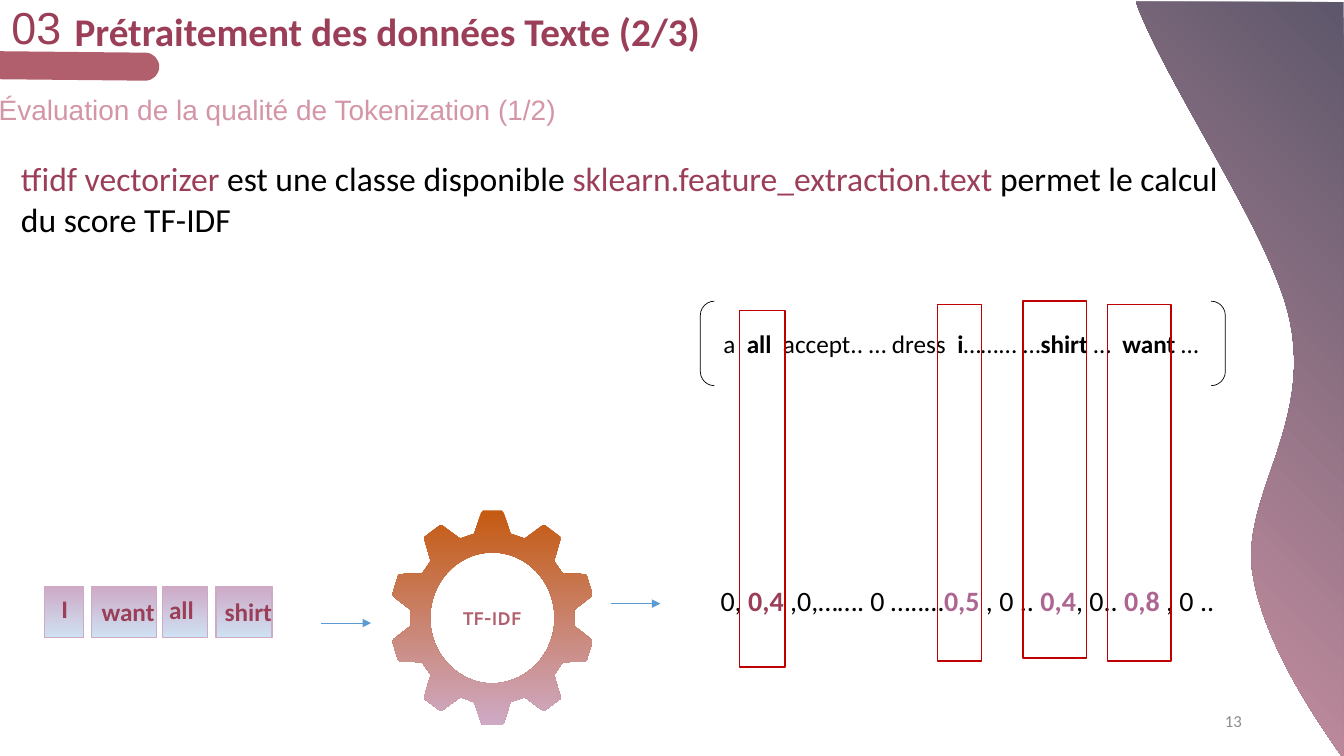
from math import cos, radians, sin

from lxml.etree import SubElement
from pptx import Presentation
from pptx.dml.color import RGBColor
from pptx.enum.shapes import MSO_CONNECTOR, MSO_SHAPE
from pptx.enum.text import MSO_ANCHOR, MSO_AUTO_SIZE, PP_ALIGN
from pptx.oxml.ns import qn
from pptx.util import Cm, Pt

WINE = RGBColor(0x9B, 0x3F, 0x59)
ROSE = RGBColor(0xB1, 0x5F, 0x6D)
PINK = RGBColor(0xD4, 0x96, 0xA7)
MAUVE = RGBColor(0xAD, 0x65, 0x92)
LILAC = RGBColor(0xCE, 0xAA, 0xC6)
SKY = RGBColor(0xCE, 0xE1, 0xF2)
SLATE = RGBColor(0x5D, 0x57, 0x6B)
ORANGE = RGBColor(0xC5, 0x5A, 0x11)
RED = RGBColor(0xC0, 0x00, 0x00)
BLUE = RGBColor(0x5B, 0x9B, 0xD5)
GREY = RGBColor(0x8C, 0x8C, 0x8C)
BLACK = RGBColor(0x00, 0x00, 0x00)

CENTERED = {"alignment": PP_ALIGN.CENTER}
SPACED = {"alignment": PP_ALIGN.CENTER, "line_spacing": 1.1}
MIDDLE = {"vertical_anchor": MSO_ANCHOR.MIDDLE}
NO_MARGINS = dict.fromkeys(("margin_left", "margin_top", "margin_right", "margin_bottom"), 0)


def apply_format(target, values):
    for name, value in values.items():
        setattr(target, name, value)


def bezier(start, first, second, end, steps=24):
    for step in range(1, steps + 1):
        t = step / steps
        weights = ((1 - t) ** 3, 3 * t * (1 - t) ** 2, 3 * t * t * (1 - t), t ** 3)
        points = (start, first, second, end)
        yield tuple(sum(w * point[axis] for w, point in zip(weights, points)) for axis in (0, 1))


class SlideBuilder:
    font_name = "Calibri"

    def __init__(self, deck):
        self.page = deck.slides.add_slide(deck.slide_layouts[5])
        self.shapes = self.page.shapes

    def fill_text(self, box, spans, size, color=BLACK, font=None, bold=False, para=None, frame=None):
        apply_format(box.text_frame, {"word_wrap": True, "auto_size": MSO_AUTO_SIZE.NONE,
                                      "vertical_anchor": MSO_ANCHOR.TOP, **(frame or {})})
        paragraph = box.text_frame.paragraphs[0]
        apply_format(paragraph, {"alignment": PP_ALIGN.LEFT, **(para or {})})
        for text, *style in [(spans,)] if isinstance(spans, str) else spans:
            span = paragraph.add_run()
            span.text = text
            values = {"name": font or self.font_name, "size": Pt(size), "bold": bold}
            if len(style) > 1:
                values["bold"] = style[1]
            apply_format(span.font, values)
            span.font.color.rgb = style[0] if style else color

    def title(self, area, text, **style):
        box = self.shapes.title
        apply_format(box, dict(zip(("left", "top", "width", "height"), map(Cm, area))))
        self.fill_text(box, text, **style)

    def text(self, area, spans, **style):
        self.fill_text(self.shapes.add_textbox(*map(Cm, area)), spans, **style)

    def gradient(self, shape, first, last, angle):
        shape.fill.gradient()
        shape.fill.gradient_angle = 360 - angle
        for stop, color in zip(shape.fill.gradient_stops, (first, last)):
            stop.color.rgb = color

    def shape(self, kind, area, line, width, colors=None):
        shape = self.shapes.add_shape(kind, *map(Cm, area))
        shape.shadow.inherit = False
        shape.line.color.rgb = line
        shape.line.width = Pt(width)
        if colors:
            self.gradient(shape, *colors, 90)
        else:
            shape.fill.background()

    def outline(self, contours, first, last, angle):
        contours = [[(Cm(x), Cm(y)) for x, y in contour] for contour in contours]
        builder = self.shapes.build_freeform(*contours[0][0])
        for index, contour in enumerate(contours):
            if index:
                builder.move_to(*contour[0])
            builder.add_line_segments(contour[1:], close=True)
        shape = builder.convert_to_shape()
        shape.shadow.inherit = False
        shape.line.fill.background()
        self.gradient(shape, first, last, angle)

    def line(self, ends, color, width, arrow=False):
        connector = self.shapes.add_connector(MSO_CONNECTOR.STRAIGHT, *map(Cm, ends))
        connector.line.color.rgb = color
        connector.line.width = Pt(width)
        properties = connector._element.spPr
        outline = properties.find(qn("a:ln"))
        if arrow:
            SubElement(outline, qn("a:tailEnd"), type="triangle")
        else:
            outline.set("cap", "rnd")
        SubElement(properties, qn("a:effectLst"))


def gear_contours(center_x, center_y, radius, hole_radius, squash=0.95, teeth=10):
    def point(angle, reach):
        turn = radians(angle)
        return center_x + squash * reach * sin(turn), center_y - reach * cos(turn)

    profile = ((-12.8, 0.8), (-6.5, 0.98), (-5.3, 1), (5.3, 1), (6.5, 0.98), (12.8, 0.8))
    rim = [point(tooth * 360 / teeth + offset, radius * share)
           for tooth in range(teeth) for offset, share in profile]
    hole = [point(-angle, hole_radius) for angle in range(0, 360, 5)]
    return [rim, hole]


def wave_contour():
    contour = [(28.63, 0.05), (28.7, 0.25)]
    for curve in (((29.59, 2.44), (32.11, 6.07), (32.51, 8.1)),
                  ((33.05, 10.67), (31.34, 12.47), (31.55, 14.33)),
                  ((31.78, 16.15), (33.25, 18.26), (33.83, 19.08))):
        contour.extend(bezier(contour[-1], *curve))
    return contour + [(33.86, 19.15), (33.86, 0.05)]


def main():
    deck = Presentation()
    deck.slide_width, deck.slide_height = Cm(33.87), Cm(19.05)
    slide = SlideBuilder(deck)

    slide.text((23.93, 17.65, 7.62, 1.02), "13", size=12, color=GREY,
               para={"alignment": PP_ALIGN.RIGHT}, frame=MIDDLE)

    tokens = (("I", 1.12, 0.99, 1.3, 14.83, 0.61), ("want", 2.31, 1.63, 2.31, 14.91, 2.26),
              ("all", 4.09, 1.14, 4.01, 14.86, 1.68), ("shirt", 5.44, 1.42, 5.41, 14.91, 1.96))
    for word, left, width, text_left, text_top, text_width in tokens:
        slide.shape(MSO_SHAPE.RECTANGLE, (left, 14.78, width, 1.28), LILAC, 1, (LILAC, SKY))
        slide.text((text_left, text_top, text_width, 1.02), word, size=18, color=WINE, bold=True)

    slide.outline(gear_contours(12.41, 15.57, 2.72, 1.65), ORANGE, LILAC, 90)
    slide.text((10.11, 15.14, 4.6, 0.86), "TF-IDF", size=14, color=ROSE, font="Karla",
               bold=True, para=CENTERED)

    slide.shape(MSO_SHAPE.DOUBLE_BRACKET, (17.65, 7.59, 13.23, 2.13), BLACK, 0.5)
    slide.text((17.91, 14.58, 13.64, 1.12), [
        ("0, ",), ("0,4", WINE, True), (" ,0,……. 0 …..…",), ("0,5", MAUVE, True),
        (" , 0 .. ",), ("0,4", MAUVE, True), (", 0.. ",), ("0,8 ", MAUVE, True), (", 0 ..",),
    ], size=20)
    slide.text((17.98, 8.15, 12.57, 1.02), [
        ("a  ",), ("all", BLACK, True), ("  accept.. … dress ",), (" i", BLACK, True),
        ("……... …",), ("shirt", BLACK, True), (" …  ",), ("want", BLACK, True), (" …",),
    ], size=18)

    for left, level in ((8.1, 15.7), (15.39, 15.21)):
        slide.line((left, level, left + 1.25, level), BLUE, 0.5, arrow=True)
    for left, top, width in ((25.78, 7.59, 1.6), (23.62, 7.67, 1.12),
                             (27.91, 7.67, 1.6), (18.64, 7.82, 1.14)):
        slide.shape(MSO_SHAPE.RECTANGLE, (left, top, width, 8.99), RED, 1)

    slide.outline([wave_contour()], SLATE, PINK, 135)
    slide.text((-0.89, 2.26, 15.77, 0.94), "Évaluation de la qualité de Tokenization (1/2)",
               size=20, color=PINK, font="Arial", para=SPACED, frame=NO_MARGINS)
    slide.line((-1.35, 1.63, 3.66, 1.68), ROSE, 20)
    slide.title((0.74, 0, 18.26, 1.42), "Prétraitement des données Texte (2/3) ",
                size=28, color=WINE, bold=True, para=SPACED, frame=MIDDLE)
    slide.text((0.05, -0.03, 1.73, 1.4), "03", size=32, color=WINE, font="Arial",
               para=CENTERED, frame={**MIDDLE, **NO_MARGINS})
    slide.text((0.28, 3.86, 31.72, 2.31), [
        ("tfidf vectorizer ", WINE), ("est une classe disponible ",),
        ("sklearn.feature_extraction.text ", WINE), ("permet le calcul du score TF-IDF",),
    ], size=24)
    deck.save("out.pptx")


if __name__ == "__main__":
    main()
